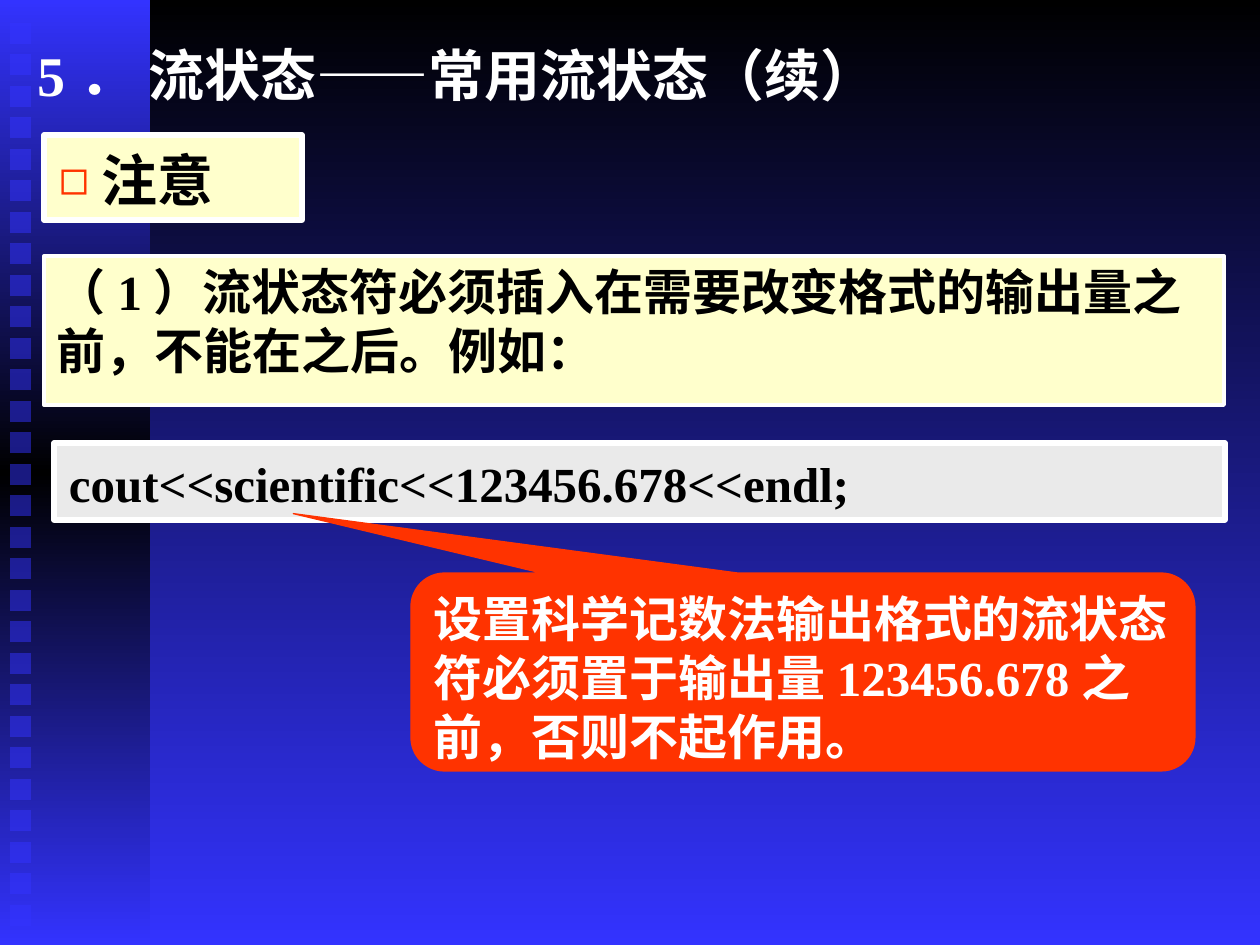
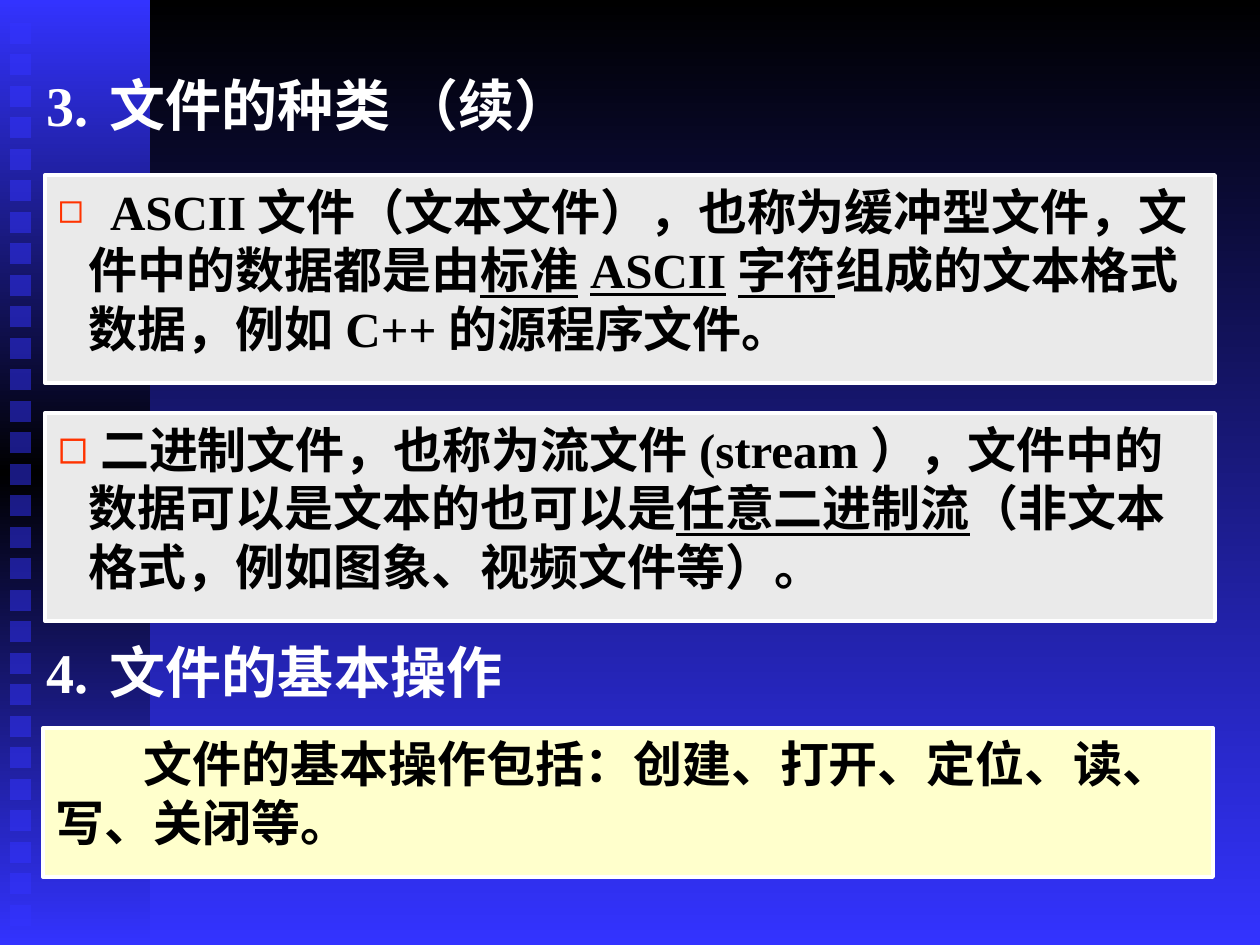
from copy import deepcopy
from dataclasses import dataclass

from pptx import Presentation
from pptx.dml.color import RGBColor
from pptx.enum.shapes import MSO_SHAPE
from pptx.enum.text import MSO_ANCHOR, MSO_AUTO_SIZE, PP_ALIGN
from pptx.oxml.ns import qn
from pptx.oxml.xmlchemy import OxmlElement
from pptx.util import Inches, Pt


@dataclass(frozen=True)
class Theme:
    """Colours, font and type sizes shared by the slides."""

    font: str = "Times New Roman"
    black: str = "000000"
    white: str = "FFFFFF"
    blue: str = "3333FF"
    red: str = "FF3300"
    cream: str = "FFFFCC"
    grey: str = "EAEAEA"
    heading: int = 32
    text: int = 28
    small: int = 24


@dataclass(frozen=True)
class Span:
    """A stretch of text with its own formatting."""

    text: str
    size: int = 28
    underline: bool = False
    spacing: int = 0


THEME = Theme()
INSETS = (13, 6, 13, 6)
DEEP_INSETS = (15, 11, 15, 6)
HANG = 31


def px(count):
    """Turn px into EMU."""
    return round(count * Inches(1) / 126)


def rgb(colour):
    """Turn a hex string into a colour."""
    return RGBColor.from_string(colour)


def place(part, box):
    """Move a part to a box given as left, top, width, height."""
    part.left, part.top, part.width, part.height = map(px, box)
    return part


def paint(part, fill, line=None, width=0):
    """Give a part a flat fill and an outline."""
    part.shadow.inherit = False
    part.fill.solid()
    part.fill.fore_color.rgb = rgb(fill)
    if line:
        part.line.color.rgb = rgb(line)
        part.line.width = Pt(width)
    else:
        part.line.fill.background()


def paint_gradient(owner, fill, colours):
    """Fill from top to bottom with evenly spaced colours."""
    fill.gradient()
    fill.gradient_angle = 270
    stops = owner.element.find(".//" + qn("a:gsLst"))
    for _ in colours[2:]:
        stops.append(deepcopy(stops[-1]))
    for index, (stop, colour) in enumerate(zip(fill.gradient_stops, colours)):
        stop.position = index / (len(colours) - 1)
        stop.color.rgb = rgb(colour)


def add_child(parent, tag, **attributes):
    """Append a drawing element with attributes."""
    child = OxmlElement(tag)
    for name, value in attributes.items():
        child.set(name, str(value))
    parent.append(child)
    return child


def write(part, spans, colour=THEME.black, insets=INSETS, anchor=MSO_ANCHOR.TOP,
          align=PP_ALIGN.LEFT, first_indent=0, tab=0, bullet=False):
    """Write one bold paragraph into a part, run by run."""
    frame = part.text_frame
    frame.word_wrap = True
    frame.auto_size = MSO_AUTO_SIZE.NONE
    frame.vertical_anchor = anchor
    (frame.margin_left, frame.margin_top,
     frame.margin_right, frame.margin_bottom) = map(px, insets)
    paragraph = frame.paragraphs[0]
    properties = paragraph._p.get_or_add_pPr()
    properties.set("marL", str(px(HANG if bullet else 0)))
    properties.set("indent", str(px(-HANG if bullet else first_indent)))
    if bullet:
        add_child(add_child(properties, "a:buClr"), "a:srgbClr", val=THEME.red)
        add_child(properties, "a:buChar", char="◻")
    if tab:
        add_child(add_child(properties, "a:tabLst"), "a:tab", pos=px(tab), algn="l")
    paragraph.space_before = Pt(0)
    paragraph.alignment = align
    for span in spans:
        run = paragraph.add_run()
        run.text = span.text
        run.font.name = THEME.font
        run.font.size = Pt(span.size)
        run.font.bold = True
        run.font.color.rgb = rgb(colour)
        if span.underline:
            run.font.underline = True
        if span.spacing:
            run.font._element.set("spc", str(span.spacing * 100))


def add_panel(slide, box, fill, spans, width=2.25, **options):
    """Add a white-edged rectangle with text."""
    panel = place(slide.shapes.add_shape(MSO_SHAPE.RECTANGLE, 0, 0, 0, 0), box)
    paint(panel, fill, THEME.white, width)
    write(panel, spans, **options)


def fill_list(body, box, fill, spans, width=2.25, **options):
    """Turn a body placeholder into a white-edged bullet panel."""
    place(body, box)
    paint(body, fill, THEME.white, width)
    write(body, spans, bullet=True, **options)


def fill_heading(part, box, text, **options):
    """Format a title or subheading."""
    place(part, box)
    write(part, [Span(text, THEME.heading)], colour=THEME.white, **options)


def add_callout(slide, box, text):
    """Add the red callout that points at the code."""
    callout = place(slide.shapes.add_shape(
        MSO_SHAPE.ROUNDED_RECTANGULAR_CALLOUT, 0, 0, 0, 0), box)
    for index, value in enumerate((-0.65, -0.8, 0.17)):
        callout.adjustments[index] = value
    paint(callout, THEME.red, THEME.red, 0.75)
    write(callout, [Span(text)], colour=THEME.white)


def dress_master(master, drawing_slide, box):
    """Put the gradient background, side band and squares on the master."""
    left, top, width, height = box
    paint_gradient(master, master.background.fill, (THEME.black, THEME.blue))
    shapes = drawing_slide.shapes
    band = place(shapes.add_shape(MSO_SHAPE.RECTANGLE, 0, 0, 0, 0), box)
    paint(band, THEME.blue)
    paint_gradient(band, band.fill, (THEME.blue, THEME.black, THEME.blue))
    parts = [band]
    side = 21
    for index in range(29):
        square = place(shapes.add_shape(MSO_SHAPE.RECTANGLE, 0, 0, 0, 0),
                       (left + 10, top + 23 + index * side * 3 // 2, side, side))
        paint(square, THEME.blue)
        add_child(square.element.find(".//" + qn("a:srgbClr")), "a:alpha", val=50000)
        parts.append(square)
    for position, part in enumerate(parts, start=2):
        master.shapes.element.insert(position, part.element)


def build_stream_state(slide, left, top):
    """Build the slide on stream states."""
    title, note = slide.placeholders
    fill_heading(title, (left - 18, top - 117, 1071, 116),
                 "5． 流状态——常用流状态（续）", anchor=MSO_ANCHOR.MIDDLE)
    fill_list(note, (left + 1, top + 2, 258, 85), THEME.cream,
              [Span(" "), Span("注意", THEME.heading)], width=3, insets=DEEP_INSETS)
    add_panel(slide, (left + 1, top + 123, 1180, 149), THEME.cream,
              [Span("（1）流状态符必须插入在需要改变格式的输出量之前，不能在之后。例如：")])
    add_panel(slide, (left + 11, top + 310, 1171, 77), THEME.grey,
              [Span("cout<<scientific<<123456.678<<endl;")], width=3,
              insets=DEEP_INSETS, align=PP_ALIGN.JUSTIFY)
    add_callout(slide, (left + 368, top + 440, 784, 198),
                "设置科学记数法输出格式的流状态符必须置于输出量123456.678之前，否则不起作用。")


def build_file_kinds(slide, left, top):
    """Build the slide on kinds of files and file operations."""
    title, ascii_files, binary_files = slide.placeholders
    operations = slide.shapes.add_textbox(0, 0, 0, 0)
    headings = ((title, 0, "3.\t文件的种类 （续）"),
                (operations, 566, "4.\t文件的基本操作"))
    for part, offset, text in headings:
        fill_heading(part, (left - 10, top + offset, 882, 94), text, tab=84)
    lists = (
        (ascii_files, 110, [
            Span(" ", THEME.small, spacing=6),
            Span("ASCII文件（文本文件），也称为缓冲型文件，文件中的数据都是由"),
            Span("标准ASCII字符", underline=True),
            Span("组成的文本格式数据，例如C++的源程序文件。")]),
        (binary_files, 348, [
            Span(" 二进制文件，也称为流文件(stream），文件中的数据可以是文本的也可以是"),
            Span("任意二进制流", underline=True),
            Span("（非文本格式，例如图象、视频文件等）。")]),
    )
    for body, offset, spans in lists:
        fill_list(body, (left + 1, top + offset, 1170, 208), THEME.grey, spans)
    add_panel(slide, (left - 1, top + 663, 1170, 149), THEME.cream,
              [Span("文件的基本操作包括：创建、打开、定位、读、写、关闭等。")],
              first_indent=88)


def main():
    """Build and save the presentation."""
    deck = Presentation()
    deck.slide_width, deck.slide_height = px(1260), px(945)
    stream_state = deck.slides.add_slide(deck.slide_layouts.get_by_name("Title and Content"))
    file_kinds = deck.slides.add_slide(deck.slide_layouts.get_by_name("Two Content"))
    dress_master(deck.slide_master, stream_state, (0, 0, 150, 945))
    build_stream_state(stream_state, 43, 133)
    build_file_kinds(file_kinds, 44, 65)
    deck.save("out.pptx")


if __name__ == "__main__":
    main()
